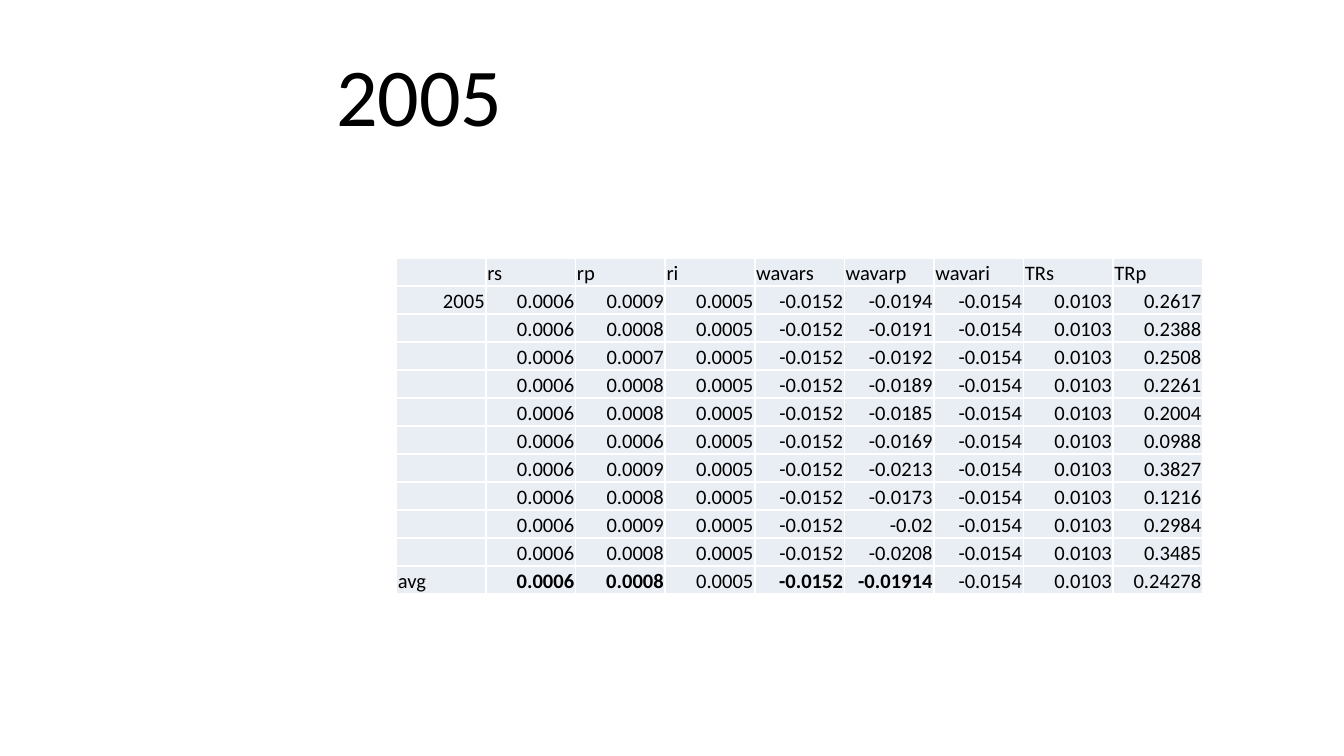
import pptx
import pptx.dml.color
import pptx.enum.text
import pptx.oxml.ns
import pptx.util
from lxml import etree

Inches, Pt = pptx.util.Inches, pptx.util.Pt
ALIGN, ANCHOR = pptx.enum.text.PP_ALIGN, pptx.enum.text.MSO_ANCHOR
qn = pptx.oxml.ns.qn

YEAR = "2005"
HEADINGS = ["", "rs", "rp", "ri", "wavars", "wavarp", "wavari", "TRs", "TRp"]
# Only rp, wavarp and TRp change from trial to trial
TRIALS = [
    ("0.0009", "-0.0194", "0.2617"),
    ("0.0008", "-0.0191", "0.2388"),
    ("0.0007", "-0.0192", "0.2508"),
    ("0.0008", "-0.0189", "0.2261"),
    ("0.0008", "-0.0185", "0.2004"),
    ("0.0006", "-0.0169", "0.0988"),
    ("0.0009", "-0.0213", "0.3827"),
    ("0.0008", "-0.0173", "0.1216"),
    ("0.0009", "-0.02", "0.2984"),
    ("0.0008", "-0.0208", "0.3485"),
]
AVERAGE = ("0.0008", "-0.01914", "0.24278")
BOLD_AVERAGES = {"rs", "rp", "wavars", "wavarp"}

TABLE_AT = (2.95, 1.92, 6, 2.5)
CELL_FORMAT = {
    "margin_left": Inches(0.01), "margin_right": Inches(0.01),
    "margin_top": Inches(0.01), "margin_bottom": 0,
    "vertical_anchor": ANCHOR.BOTTOM,
}


def color(hex_value):
    return pptx.dml.color.RGBColor.from_string(hex_value)


def set_font(font, size, bold=False):
    for name, value in {"name": "Calibri", "size": Pt(size), "bold": bold}.items():
        setattr(font, name, value)
    font.color.rgb = color("000000")


def full_row(label, values):
    """Put the constant measures around the three varying ones."""
    rp, wavarp, trp = values
    return [label, "0.0006", rp, "0.0005", "-0.0152", wavarp, "-0.0154", "0.0103", trp]


def add_borders(cell, hex_value, width):
    properties = cell._tc.get_or_add_tcPr()
    for side in ("a:lnL", "a:lnR", "a:lnT", "a:lnB"):
        line = etree.SubElement(properties, qn(side), w=str(Pt(width)))
        fill = etree.SubElement(line, qn("a:solidFill"))
        etree.SubElement(fill, qn("a:srgbClr"), val=hex_value)


def fill_cell(cell, text, bold):
    add_borders(cell, "FFFFFF", 1)
    cell.fill.solid()
    cell.fill.fore_color.rgb = color("E9EDF4")
    for name, value in CELL_FORMAT.items():
        setattr(cell, name, value)
    paragraph = cell.text_frame.paragraphs[0]
    if text:
        run = paragraph.add_run()
        run.text = text
        set_font(run.font, 11, bold)
        is_number = text[-1].isdigit()
        paragraph.alignment = ALIGN.RIGHT if is_number else ALIGN.LEFT
    else:
        # Keeps an empty cell from stretching its row
        etree.SubElement(paragraph._p, qn("a:endParaRPr"), sz="1100")


deck = pptx.Presentation()
deck.slide_width = Inches(10)
deck.slide_height = deck.slide_width * 9 // 16
slide = deck.slides.add_slide(deck.slide_layouts[5])

title = slide.shapes.title
title.left, title.top, title.width, title.height = map(Inches, (2.4, 0.23, 7.1, 0.94))
title.text = YEAR
title.text_frame.vertical_anchor = ANCHOR.MIDDLE
heading = title.text_frame.paragraphs[0]
heading.alignment = ALIGN.LEFT
set_font(heading.runs[0].font, 44)

rows = [HEADINGS]
rows += [full_row("" if i else YEAR, trial) for i, trial in enumerate(TRIALS)]
rows.append(full_row("avg", AVERAGE))

results = slide.shapes.add_table(len(rows), len(HEADINGS), *map(Inches, TABLE_AT)).table
results.first_row = results.horz_banding = False
for r, row in enumerate(rows):
    for c, text in enumerate(row):
        bold = row[0] == "avg" and HEADINGS[c] in BOLD_AVERAGES
        fill_cell(results.cell(r, c), text, bold)

deck.save("out.pptx")
